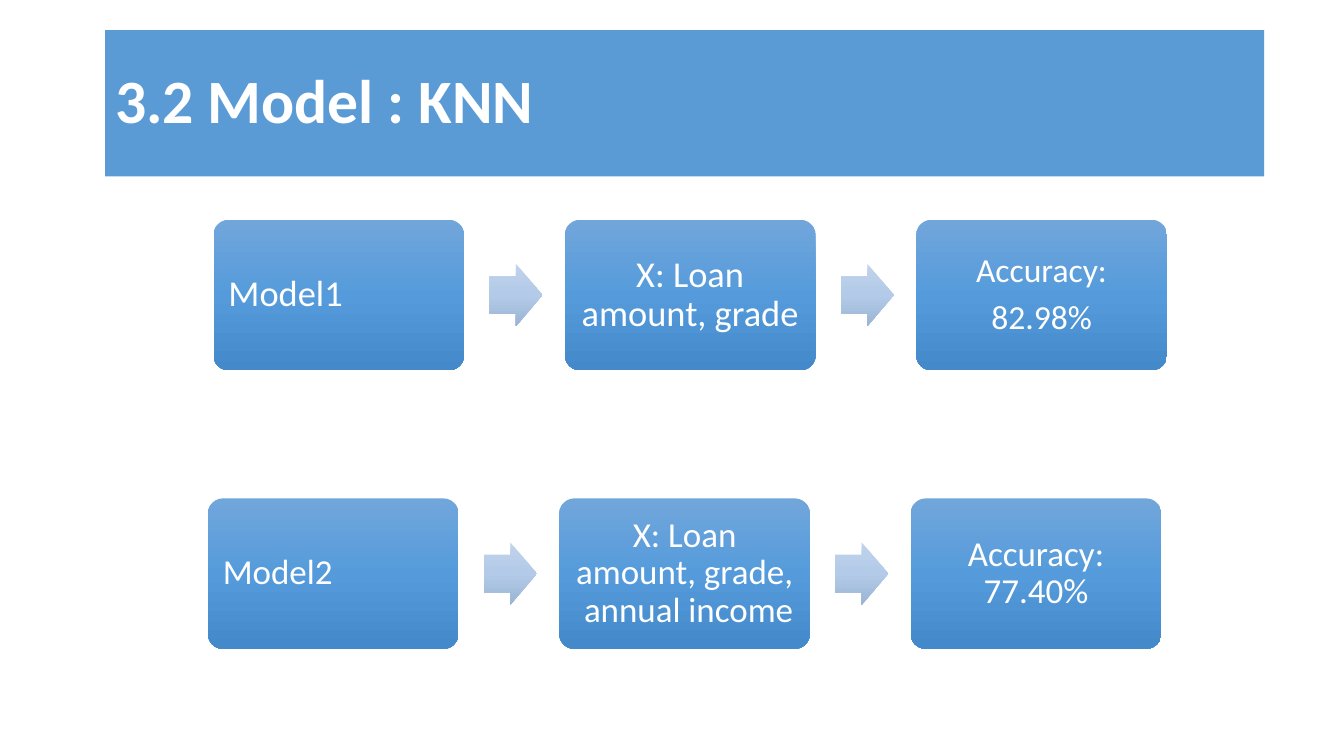
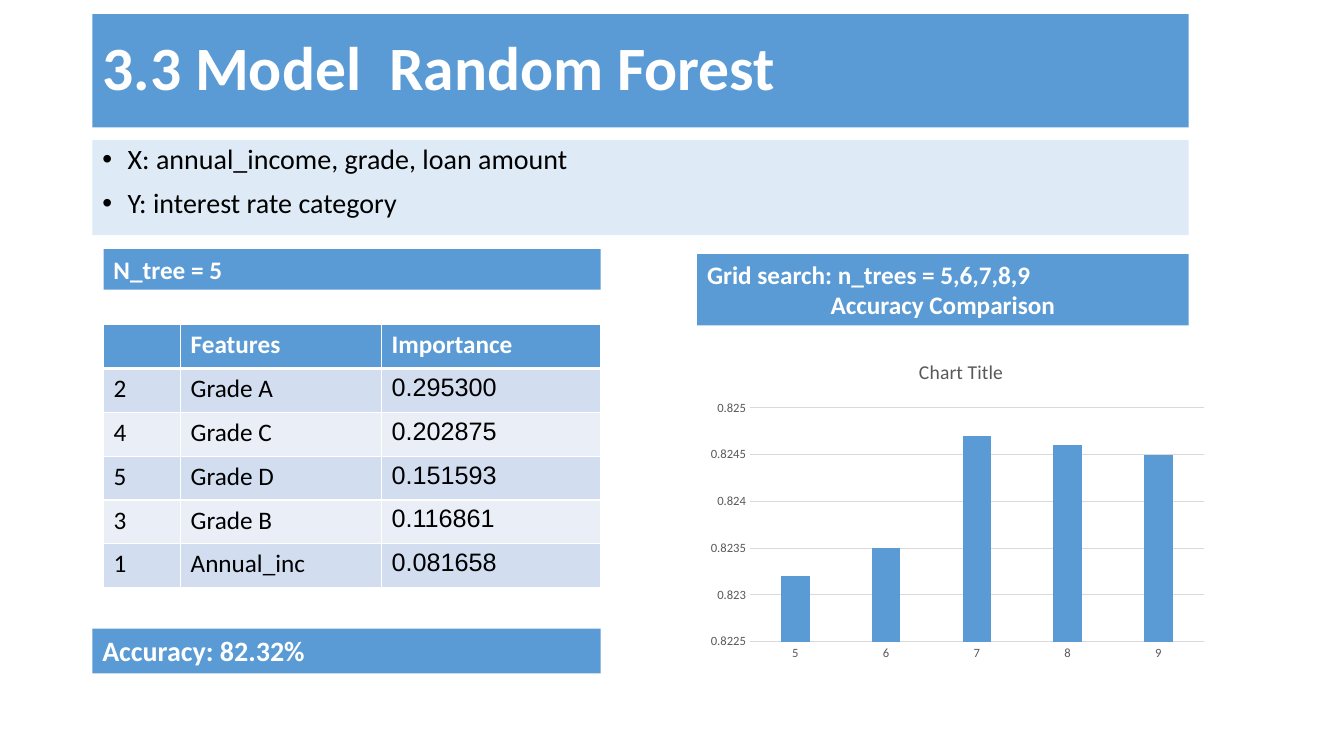
import copy

import lxml.etree
import pptx
import pptx.chart.data
import pptx.dml.color
import pptx.enum.chart
import pptx.enum.shapes
import pptx.enum.text
import pptx.oxml
import pptx.oxml.ns
import pptx.util

Pt = pptx.util.Pt
Align = pptx.enum.text.PP_ALIGN
Shape = pptx.enum.shapes.MSO_SHAPE
qn = pptx.oxml.ns.qn

BLUE, PALE_BLUE, WHITE, BLACK = "5B9BD5", "DEEBF7", "FFFFFF", "000000"
GREY, LIGHT_GREY = "595959", "D9D9D9"
ROW_FILLS = ["D2DEEF", "EAEFF7"]
BOX_GRADIENT = ["71A6DB", "559BDB", "448ACA"]
ARROW_GRADIENT = ["C0D2EB", "B3CBE9", "9BB4D3"]
colour = pptx.dml.color.RGBColor.from_string


def format_text(frame, size, text_colour, bold=False, align=Align.LEFT, spacing=None,
                font="Calibri"):
    frame.word_wrap = True
    for para in frame.paragraphs:
        para.alignment = align
        para.line_spacing = spacing
        for span in para.runs:
            span.font.name = font
            span.font.size = Pt(size)
            span.font.bold = bold
            span.font.color.rgb = colour(text_colour)


def add_gradient_shape(page, kind, left, top, width, height, adjustments, stops):
    shape = page.shapes.add_shape(kind, Pt(left), Pt(top), Pt(width), Pt(height))
    shape.shadow.inherit = False
    shape.line.fill.background()
    for index, value in enumerate(adjustments):
        shape.adjustments[index] = value
    shape.fill.gradient()
    shape.fill.gradient_angle = 270
    stop_list = shape.element.spPr.find(".//" + qn("a:gsLst"))
    stop_list.append(copy.deepcopy(stop_list[0]))
    for index, stop in enumerate(shape.fill.gradient_stops):
        stop.position = index / 2
        stop.color.rgb = colour(stops[index])
    return shape


deck = pptx.Presentation()
deck.slide_width, deck.slide_height = Pt(960), Pt(540)

# Pages with their title bands
pages = []
for layout, title, bounds in [
    (5, "3.2 Model : KNN", (75, 21.5, 828, 104.5)),
    (1, "3.3 Model  Random Forest", (66, 10, 783, 81)),
]:
    page = deck.slides.add_slide(deck.slide_layouts[layout])
    box = page.shapes.title
    box.left, box.top, box.width, box.height = map(Pt, bounds)
    box.fill.solid()
    box.fill.fore_color.rgb = colour(BLUE)
    box.text_frame.text = title
    box.text_frame.auto_size = pptx.enum.text.MSO_AUTO_SIZE.NONE
    box.text_frame.vertical_anchor = pptx.enum.text.MSO_ANCHOR.MIDDLE
    format_text(box.text_frame, 44, WHITE, bold=True, spacing=0.9)
    pages.append(page)
knn_page, forest_page = pages

# KNN: one row of boxes and arrows per model
BOX_WIDTH, BOX_HEIGHT, BOX_STEP = 179, 107.5, 251
ARROW_WIDTH, ARROW_HEIGHT, ARROW_OFFSET = 38, 44.5, 197
flows = [
    (152.5, 157, [("Model1", 26), ("X: Loan amount, grade", 26), ("Accuracy:\n82.98%", 24)]),
    (148.5, 356, [("Model2", 25), ("X: Loan amount, grade,  annual income", 25),
                  ("Accuracy: 77.40%", 25)]),
]
for row_left, top, steps in flows:
    for index, (text, size) in enumerate(steps):
        left = row_left + index * BOX_STEP
        box = add_gradient_shape(knn_page, Shape.ROUNDED_RECTANGLE, left, top,
                                 BOX_WIDTH, BOX_HEIGHT, [0.1], BOX_GRADIENT)
        frame = box.text_frame
        frame.margin_left = frame.margin_right = Pt(7.5)
        frame.margin_top = frame.margin_bottom = Pt(7.5)
        frame.vertical_anchor = pptx.enum.text.MSO_ANCHOR.MIDDLE
        frame.text = text
        format_text(frame, size, WHITE, spacing=0.9,
                    align=Align.CENTER if index else Align.LEFT)
        for para in frame.paragraphs[:-1]:
            para.space_after = Pt(8)
        if index < len(steps) - 1:
            add_gradient_shape(knn_page, Shape.RIGHT_ARROW, left + ARROW_OFFSET,
                               top + (BOX_HEIGHT - ARROW_HEIGHT) / 2,
                               ARROW_WIDTH, ARROW_HEIGHT, [0.6, 0.5], ARROW_GRADIENT)

# Random forest: list of variables
body = forest_page.placeholders[1]
body.left, body.top, body.width, body.height = Pt(66), Pt(100), Pt(783), Pt(68)
body.fill.solid()
body.fill.fore_color.rgb = colour(PALE_BLUE)
body.text_frame.text = "X: annual_income, grade, loan amount\nY: interest rate category"
body.text_frame.auto_size = pptx.enum.text.MSO_AUTO_SIZE.NONE
format_text(body.text_frame, 20, BLACK, spacing=0.9)
for index, para in enumerate(body.text_frame.paragraphs):
    para.space_before = Pt(10 * index)
    properties = para._p.get_or_add_pPr()
    properties.set("marL", str(Pt(18)))
    properties.set("indent", str(-Pt(18)))

# Importance table
rows = [
    ("", "Features", "Importance"),
    ("2", "Grade A", "0.295300"),
    ("4", "Grade C", "0.202875"),
    ("5", "Grade D", "0.151593"),
    ("3", "Grade B", "0.116861"),
    ("1", "Annual_inc", "0.081658"),
]
ROW_HEIGHT = 31.3
table = forest_page.shapes.add_table(len(rows), 3, Pt(74), Pt(232), Pt(355),
                                     Pt(ROW_HEIGHT * len(rows))).table
for column, width in zip(table.columns, (55, 143.5, 156.5)):
    column.width = Pt(width)
for row_index, values in enumerate(rows):
    header = row_index == 0
    table.rows[row_index].height = Pt(ROW_HEIGHT)
    for column_index, value in enumerate(values):
        cell = table.cell(row_index, column_index)
        cell.text_frame.text = value
        format_text(cell.text_frame, 18, WHITE if header else BLACK, bold=header,
                    font="Arial" if column_index == 2 and not header else "Calibri")
        for side in ("L", "R", "T", "B"):
            thick = (header and side == "B") or (row_index == 1 and side == "T")
            border = lxml.etree.SubElement(cell._tc.get_or_add_tcPr(), qn("a:ln" + side),
                                           w=str(Pt(3 if thick else 1)))
            fill = lxml.etree.SubElement(border, qn("a:solidFill"))
            lxml.etree.SubElement(fill, qn("a:srgbClr"), val=WHITE)
        cell.fill.solid()
        cell.fill.fore_color.rgb = colour(BLUE if header else ROW_FILLS[(row_index - 1) % 2])

# Accuracy chart
data = pptx.chart.data.CategoryChartData()
data.categories = ["5", "6", "7", "8", "9"]
data.add_series("Series 1", (0.8232, 0.8235, 0.8247, 0.8246, 0.8245))
chart = forest_page.shapes.add_chart(pptx.enum.chart.XL_CHART_TYPE.COLUMN_CLUSTERED,
                                     Pt(498), Pt(245), Pt(377), Pt(232), data).chart
chart.has_legend = False
chart.font.name = "Calibri"
chart.font.size = Pt(10)
chart.has_title = True
chart.chart_title.text_frame.text = "Chart Title"
chart.chart_title.include_in_layout = False
format_text(chart.chart_title.text_frame, 14, GREY, align=Align.CENTER)

plot = chart.plots[0]
plot.vary_by_categories = False
plot.gap_width, plot.overlap = 219, -27
plot.series[0].format.fill.solid()
plot.series[0].format.fill.fore_color.rgb = colour(BLUE)

value_axis = chart.value_axis
value_axis.minimum_scale, value_axis.maximum_scale = 0.8225, 0.825
value_axis.major_unit = 0.0005
value_axis.tick_labels.number_format = "General"
value_axis.tick_labels.number_format_is_linked = False
value_axis.format.line.fill.background()
for axis in (chart.category_axis, value_axis):
    axis.major_tick_mark = pptx.enum.chart.XL_TICK_MARK.NONE
    axis.tick_labels.font.name = "Calibri"
    axis.tick_labels.font.size = Pt(9)
    axis.tick_labels.font.color.rgb = colour(GREY)
for line in (chart.category_axis.format.line, value_axis.major_gridlines.format.line):
    line.color.rgb = colour(LIGHT_GREY)
    line.width = Pt(0.75)

# Fixed plot area inside the chart
plot_area = chart.element.find(".//" + qn("c:plotArea"))
for layout in plot_area.findall(qn("c:layout")):
    plot_area.remove(layout)
layout = lxml.etree.Element(qn("c:layout"))
plot_area.insert(0, layout)
manual = lxml.etree.SubElement(layout, qn("c:manualLayout"))
for name, value in [("layoutTarget", "inner"), ("xMode", "edge"), ("yMode", "edge"),
                    ("x", "0.1"), ("y", "0.2"), ("w", "0.86"), ("h", "0.72")]:
    lxml.etree.SubElement(manual, qn("c:" + name), val=value)

# Label bands
for text, size, bounds in [
    ("Grid search: n_trees = 5,6,7,8,9\nAccuracy Comparison", 18, (498, 181.5, 351, 51)),
    ("N_tree = 5", 18, (74, 178, 355, 29)),
    ("Accuracy: 82.32%", 20, (66, 449, 363, 32)),
]:
    band = forest_page.shapes.add_shape(Shape.RECTANGLE, *map(Pt, bounds))
    band.shadow.inherit = False
    band.fill.solid()
    band.fill.fore_color.rgb = colour(BLUE)
    band.line.fill.background()
    band.text_frame.vertical_anchor = pptx.enum.text.MSO_ANCHOR.TOP
    band.text_frame.text = text
    format_text(band.text_frame, size, WHITE, bold=True)
    for para in band.text_frame.paragraphs[1:]:
        para.alignment = Align.CENTER

deck.save("out.pptx")
